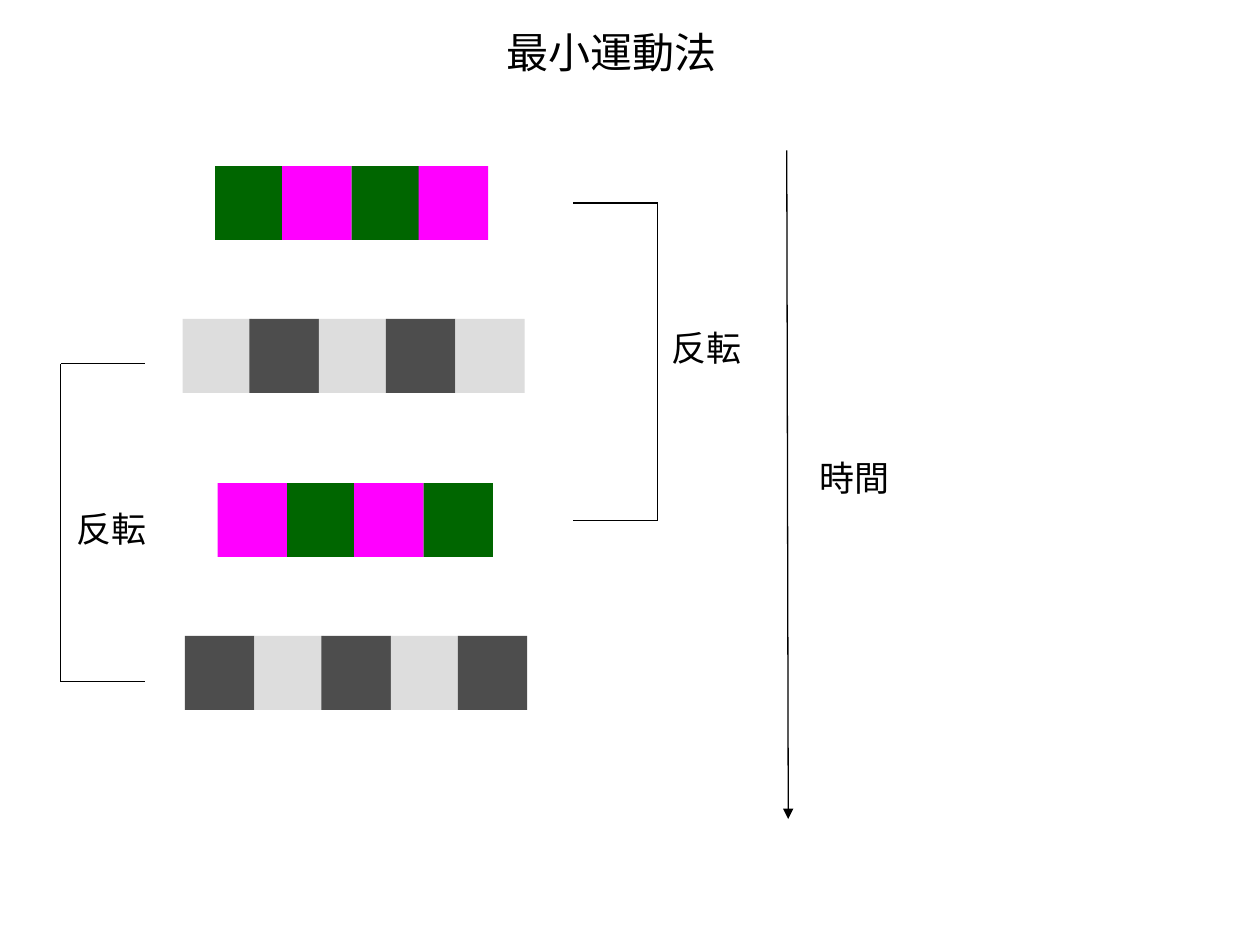
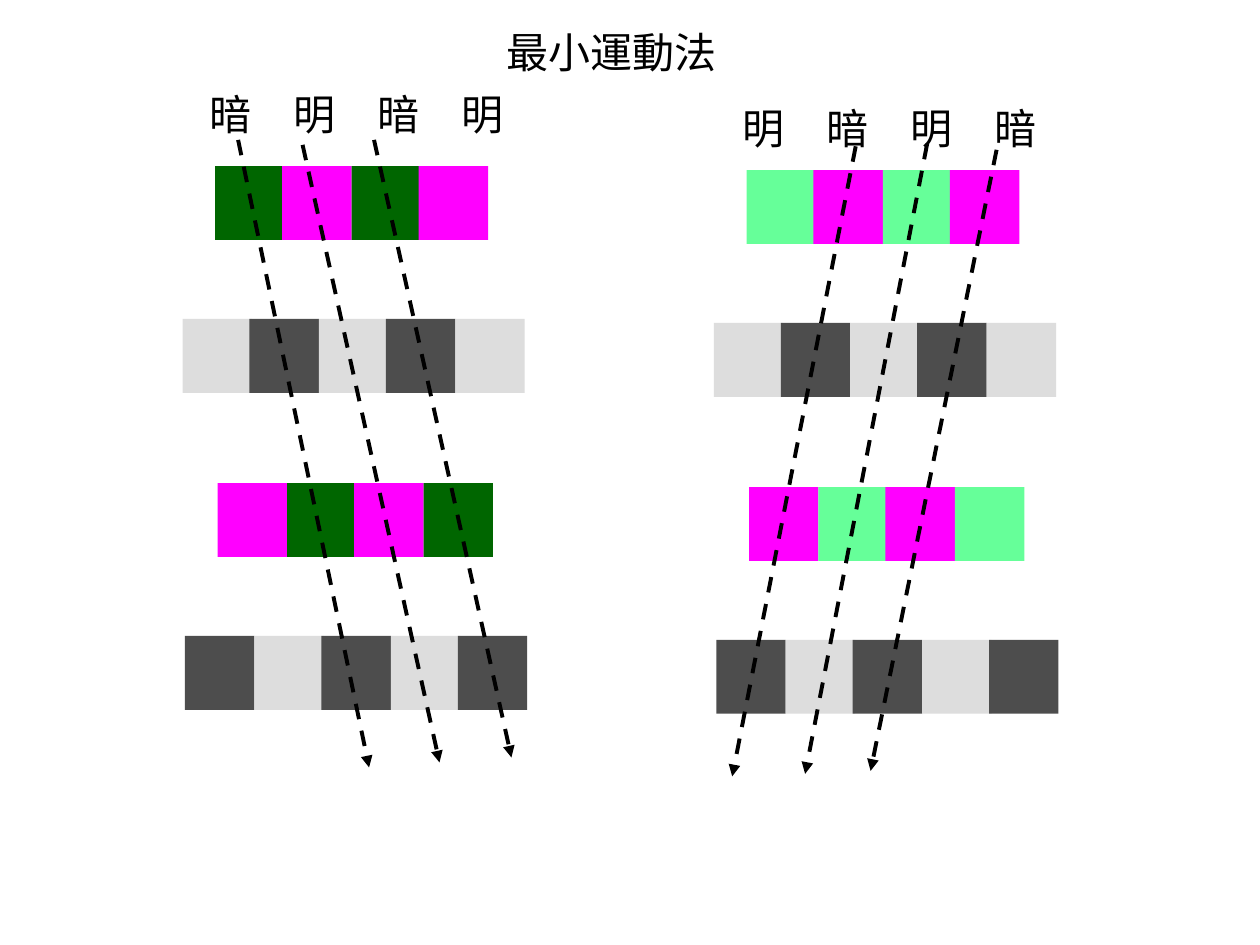
from lxml.etree import SubElement
from pptx import Presentation
from pptx.dml.color import RGBColor
from pptx.enum.dml import MSO_LINE_DASH_STYLE as Dash
from pptx.enum.shapes import MSO_CONNECTOR as Connector, MSO_SHAPE as Shape
from pptx.enum.text import MSO_AUTO_SIZE as AutoSize
from pptx.oxml.ns import qn
from pptx.util import Cm, Pt

color = RGBColor.from_string
BLACK, MAGENTA = "000000", "FF00FF"
DARK_GREEN, LIGHT_GREEN = "006600", "66FF99"
DARK_GRAY, LIGHT_GRAY = "4D4D4D", "DDDDDD"
FONT = "Times New Roman"
BAR_WIDTH, BAR_HEIGHT = 1.4, 1.49
WIDE_STEP, NARROW_STEP = 1.4, 1.35


def add_line(slide, start, end, width=0.75, dashed=False, arrow=False):
    line = slide.shapes.add_connector(
        Connector.STRAIGHT, *[Cm(v) for v in (*start, *end)])
    line.line.color.rgb = color(BLACK)
    line.line.width = Pt(width)
    properties = line._element.spPr
    if dashed:
        line.line.dash_style = Dash.DASH
    if arrow:
        SubElement(properties.find(qn("a:ln")), qn("a:tailEnd"), type="triangle")
    SubElement(properties, qn("a:effectLst"))


def add_label(slide, text, left, top, width, height, size):
    frame = slide.shapes.add_textbox(
        Cm(left), Cm(top), Cm(width), Cm(height)).text_frame
    frame.word_wrap = False
    frame.auto_size = AutoSize.SHAPE_TO_FIT_TEXT
    run = frame.paragraphs[0].add_run()
    run.text = text
    run.font.name = FONT
    run.font.size = Pt(size)
    run.font.color.rgb = color(BLACK)


deck = Presentation()
deck.slide_width, deck.slide_height = Cm(25.4), Cm(19.05)
blank = deck.slide_layouts[6]
method, motion = [deck.slides.add_slide(blank) for _ in range(2)]

# Four successive gratings: each is the reversal of the one two rows above
for slide, shift_x, shift_y, green in [
    (method, 0, 0, DARK_GREEN),
    (motion, 0, 0, DARK_GREEN),
    (motion, 10.71, 0.08, LIGHT_GREEN),
]:
    for left, top, count, pair in [
        (4.34, 3.35, 4, (green, MAGENTA)),
        (3.68, 6.43, 5, (LIGHT_GRAY, DARK_GRAY)),
        (4.39, 9.74, 4, (MAGENTA, green)),
        (3.73, 12.82, 5, (DARK_GRAY, LIGHT_GRAY)),
    ]:
        x = left + shift_x
        for i in range(count):
            bar_color = pair[i % 2]
            bar = slide.shapes.add_shape(
                Shape.RECTANGLE, Cm(x), Cm(top + shift_y),
                Cm(BAR_WIDTH), Cm(BAR_HEIGHT))
            bar.shadow.inherit = False
            bar.fill.solid()
            bar.fill.fore_color.rgb = color(bar_color)
            bar.line.fill.background()
            x += WIDE_STEP if bar_color in (MAGENTA, DARK_GRAY) else NARROW_STEP

for slide in (method, motion):
    add_label(slide, "最小運動法", 9.96, 0.41, 4.85, 1.27, 24)

# Brackets joining each grating to its reversal
for open_x, spine_x, top, bottom in [
    (11.56, 13.26, 4.09, 10.49),
    (2.92, 1.22, 7.33, 13.74),
]:
    for y in (top, bottom):
        add_line(method, (open_x, y), (spine_x, y))
    add_line(method, (spine_x, top), (spine_x, bottom))

add_line(method, (15.86, 3.03), (15.89, 16.51), arrow=True)
for text, left, top in [
    ("反転", 13.28, 6.45), ("反転", 1.3, 10.11), ("時間", 16.28, 9.07),
]:
    add_label(method, text, left, top, 2, 1.12, 20)

# Perceived motion: rightwards for dark green, leftwards for light green
for start, end in [
    ((4.8, 2.82), (7.44, 15.47)),
    ((6.1, 2.92), (8.86, 15.37)),
    ((7.54, 2.82), (10.31, 15.27)),
    ((20.09, 3.02), (17.55, 15.54)),
    ((18.69, 2.9), (16.23, 15.6)),
    ((17.25, 2.95), (14.76, 15.65)),
]:
    add_line(motion, start, end, width=2.25, dashed=True, arrow=True)

for brightness, left, top in [
    ("暗　明　暗　明", 3.98, 1.65), ("明　暗　明　暗", 14.71, 1.94),
]:
    add_label(motion, brightness, left, top, 6.45, 1.27, 24)

deck.save("out.pptx")
